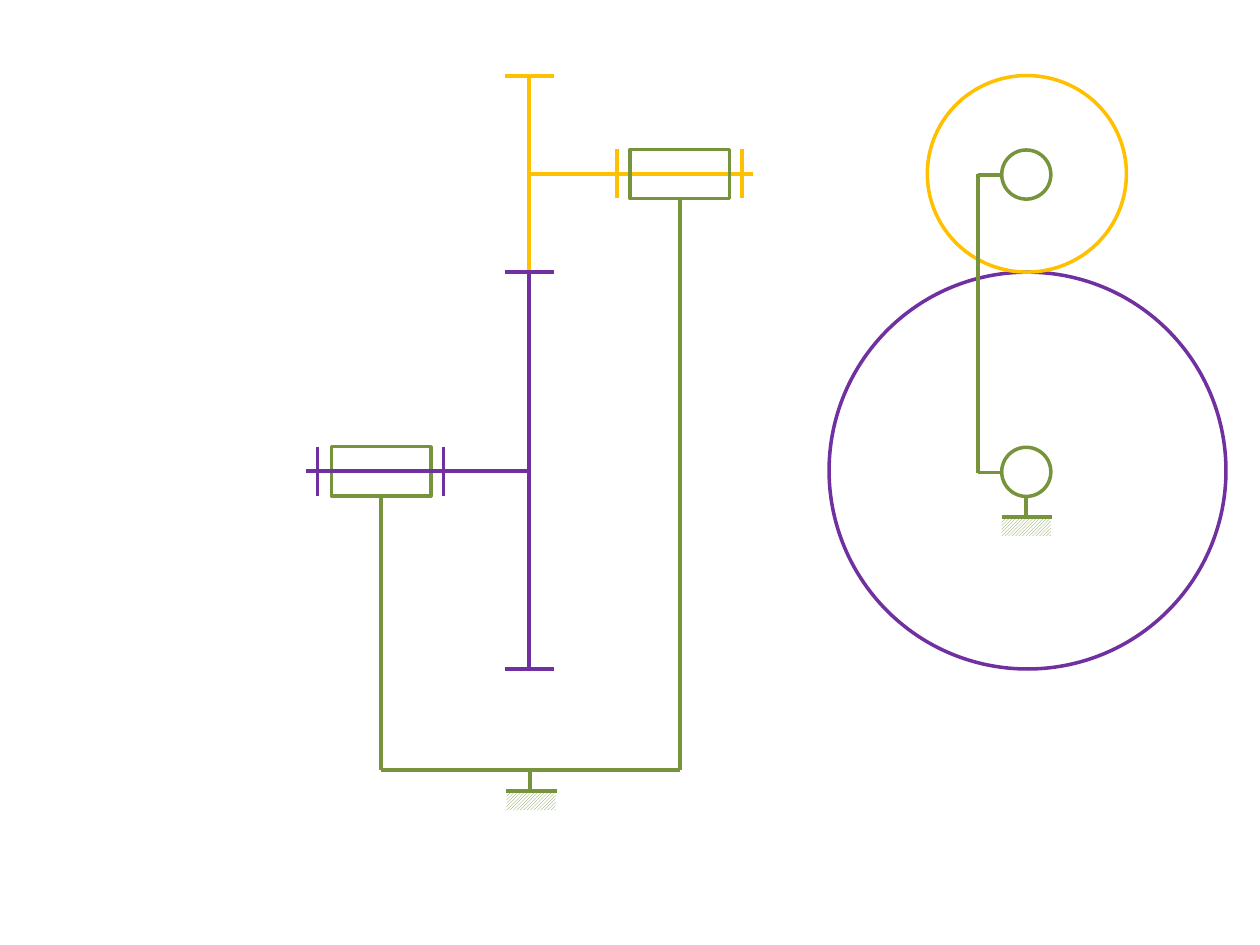
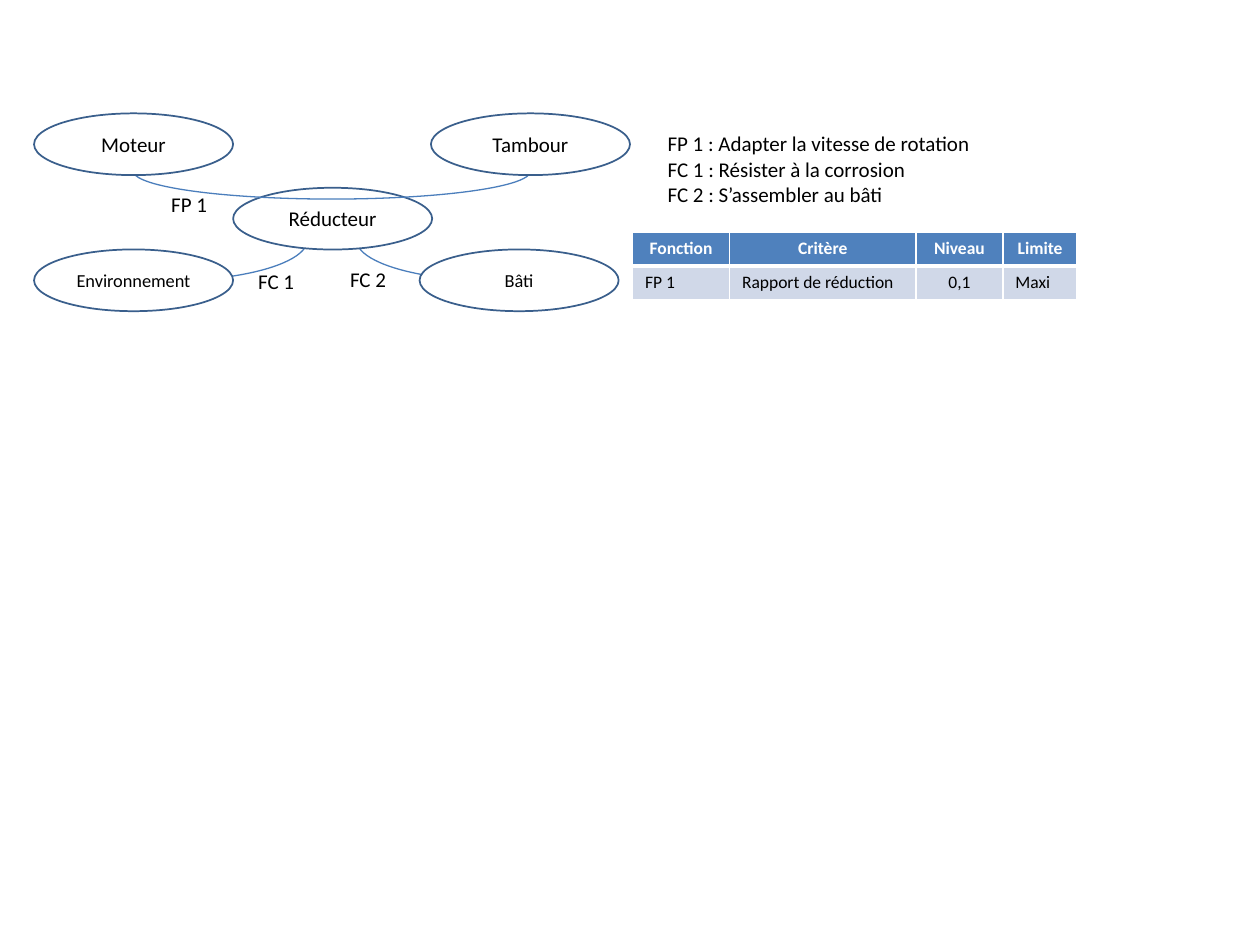
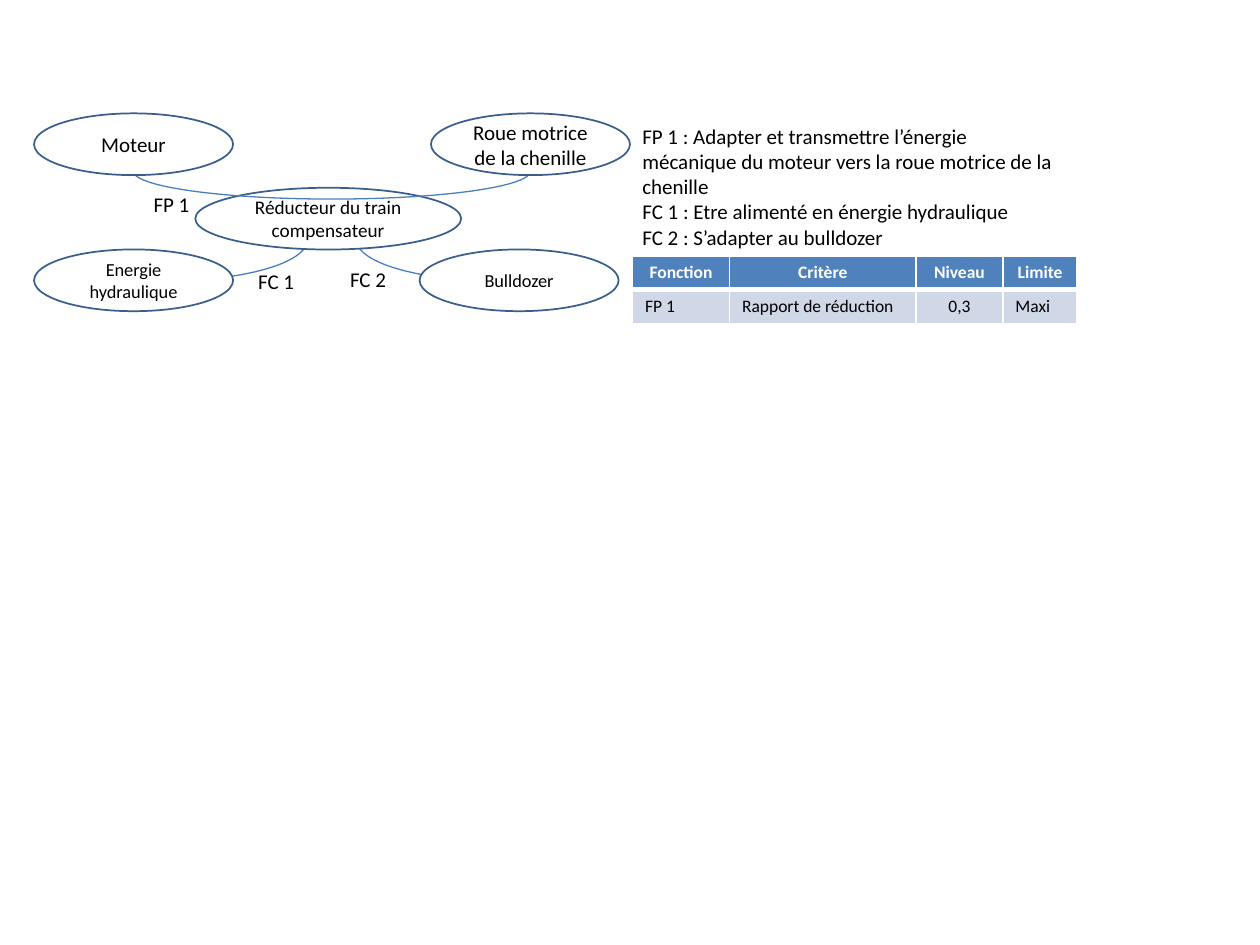
from lxml import etree
from pptx import Presentation
from pptx.dml.color import RGBColor
from pptx.enum.dml import MSO_PATTERN
from pptx.enum.shapes import MSO_CONNECTOR, MSO_SHAPE
from pptx.enum.text import MSO_ANCHOR, MSO_AUTO_SIZE, PP_ALIGN
from pptx.oxml.ns import qn
from pptx.util import Inches, Pt

RECTANGLE, ELLIPSE, ARC = MSO_SHAPE.RECTANGLE, MSO_SHAPE.OVAL, MSO_SHAPE.ARC
STRAIGHT = MSO_CONNECTOR.STRAIGHT
HATCH = MSO_PATTERN.LIGHT_UPWARD_DIAGONAL
MIDDLE, TOP = MSO_ANCHOR.MIDDLE, MSO_ANCHOR.TOP
CENTER, LEFT = PP_ALIGN.CENTER, PP_ALIGN.LEFT
GROW = MSO_AUTO_SIZE.SHAPE_TO_FIT_TEXT

WHITE = RGBColor(0xFF, 0xFF, 0xFF)
BLACK = RGBColor(0x00, 0x00, 0x00)
GREEN = RGBColor(0x77, 0x93, 0x3C)
PURPLE = RGBColor(0x70, 0x30, 0xA0)
YELLOW = RGBColor(0xFF, 0xC0, 0x00)
ARC_BLUE = RGBColor(0x4B, 0x7E, 0xBC)
OUTLINE_BLUE = RGBColor(0x3A, 0x5F, 0x8C)
HEADER_BLUE = RGBColor(0x4F, 0x81, 0xBD)
ROW_BLUE = RGBColor(0xD0, 0xD8, 0xE8)
FONT = "Calibri"

# Gear geometry, measured down from the top of the small wheel
SMALL_AXIS, CONTACT, LARGE_AXIS, GEAR_BOTTOM = 0.78, 1.56, 3.14, 4.71
FRAME_BASE = 5.51
BEARING_WIDTH, BEARING_HEIGHT = 0.79, 0.39
RIM = 0.39


def add_outline(shapes, kind, box, color, width):
    """Unfilled preset shape; box is left, top, width, height in inches."""
    shape = shapes.add_shape(kind, *(Inches(length) for length in box))
    shape.shadow.inherit = False
    shape.fill.background()
    shape.line.color.rgb = color
    shape.line.width = Pt(width)
    return shape


def add_line(shapes, start, end, color):
    line = shapes.add_connector(STRAIGHT, *(Inches(length) for length in start + end))
    line.line.color.rgb = color
    line.line.width = Pt(2.25)
    etree.SubElement(line.element.spPr, qn("a:effectLst"))


def write(text_frame, lines, size, color=BLACK, bold=False, alignment=LEFT):
    text_frame.text = "\n".join(lines)
    for paragraph in text_frame.paragraphs:
        paragraph.alignment = alignment
        for run in paragraph.runs:
            run.font.name = FONT
            run.font.size = Pt(size)
            run.font.bold = bold
            run.font.color.rgb = color


# ---- Gear train ----
def add_ground(slide, center, top):
    """Stem, ground line and hatching under a fixed part."""
    shapes = slide.shapes.add_group_shape().shapes
    left, ground = center - 0.19, top + 0.17
    hatching = shapes.add_shape(RECTANGLE, Inches(left), Inches(ground - 0.01),
                                Inches(0.39), Inches(0.16))
    hatching.shadow.inherit = False
    hatching.line.fill.background()
    hatching.fill.patterned()
    hatching.fill.pattern = HATCH
    hatching.fill.fore_color.rgb = GREEN
    hatching.fill.back_color.rgb = WHITE
    add_line(shapes, (left, ground), (left + 0.4, ground), GREEN)
    add_line(shapes, (center, top), (center, ground), GREEN)


def add_bearing(slide, left, axis, base):
    """Bearing housing with its post down to the frame."""
    shapes = slide.shapes.add_group_shape().shapes
    top = axis - BEARING_HEIGHT / 2
    center = left + BEARING_WIDTH / 2
    add_outline(shapes, RECTANGLE, (left, top, BEARING_WIDTH, BEARING_HEIGHT), GREEN, 2)
    add_line(shapes, (center, base), (center, top + BEARING_HEIGHT), GREEN)


def add_shaft(slide, start, end, axis, collars, color):
    shapes = slide.shapes.add_group_shape().shapes
    add_line(shapes, (start, axis), (end, axis), color)
    for collar in collars:
        add_line(shapes, (collar, axis - RIM / 2), (collar, axis + RIM / 2), color)


def add_wheel_section(slide, center, top, bottom, rims, color):
    add_line(slide.shapes, (center, top), (center, bottom), color)
    for rim in rims:
        add_line(slide.shapes, (center - RIM / 2, rim), (center + RIM / 2, rim), color)


def side_view(slide, left, top):
    wheel = left + 1.77
    small_axis, contact = top + SMALL_AXIS, top + CONTACT
    large_axis, bottom = top + LARGE_AXIS, top + GEAR_BOTTOM
    base = top + FRAME_BASE
    large_bearing, small_bearing = left + 0.2, left + 2.57
    # Large wheel shaft in front of its bearing, small one behind
    add_bearing(slide, large_bearing, large_axis, base)
    add_shaft(slide, wheel, left, large_axis, (left + 1.09, left + 0.09), PURPLE)
    add_wheel_section(slide, wheel, top, contact, (top,), YELLOW)
    add_shaft(slide, left + 3.55, wheel, small_axis, (left + 2.47, left + 3.46), YELLOW)
    add_bearing(slide, small_bearing, small_axis, base)
    add_wheel_section(slide, wheel, contact, bottom, (contact, bottom), PURPLE)
    # Frame
    half = BEARING_WIDTH / 2
    add_line(slide.shapes, (large_bearing + half, base), (small_bearing + half, base), GREEN)
    add_ground(slide, wheel + 0.01, base)


def front_view(slide, left, top):
    center = left + 1.57
    small_axis, large_axis = top + SMALL_AXIS, top + LARGE_AXIS
    shapes = slide.shapes
    # Wheels
    add_outline(shapes, ELLIPSE, (left, top + CONTACT, 3.15, 3.15), PURPLE, 2)
    add_outline(shapes, ELLIPSE, (left + 0.78, top, 1.58, CONTACT), YELLOW, 2)
    add_ground(slide, center - 0.01, large_axis + BEARING_HEIGHT / 2)
    # Bearings and the link between them
    link = left + 1.18
    for axis in (small_axis, large_axis):
        add_outline(shapes, ELLIPSE, (center - 0.2, axis - 0.19, 0.39, 0.39), GREEN, 2)
        add_line(shapes, (link, axis + 0.01), (center - 0.2, axis + 0.01), GREEN)
    add_line(shapes, (link, large_axis + 0.01), (link, small_axis), GREEN)


# ---- Functional analysis ----
def add_arc(slide, box, start_angle, flips):
    """Arc from start_angle, in degrees, clockwise to the right-hand end."""
    arc = add_outline(slide.shapes, ARC, box, ARC_BLUE, 0.75)
    arc.adjustments[0] = start_angle * 0.6  # 60000ths of a degree over 100000
    arc.adjustments[1] = 0
    transform = arc.element.spPr.find(qn("a:xfrm"))
    for flip in flips:
        transform.set(flip, "1")


def add_bubble(slide, left, top, text, size=12, width=1.58):
    bubble = add_outline(slide.shapes, ELLIPSE, (left, top, width, 0.49), OUTLINE_BLUE, 1)
    bubble.fill.solid()
    bubble.fill.fore_color.rgb = WHITE
    bubble.text_frame.word_wrap = True
    bubble.text_frame.vertical_anchor = MIDDLE
    write(bubble.text_frame, [text], size, alignment=CENTER)


def add_text(slide, box, lines):
    text_box = slide.shapes.add_textbox(*(Inches(length) for length in box))
    text_box.text_frame.word_wrap = True
    text_box.text_frame.auto_size = GROW
    write(text_box.text_frame, lines, 12)


def interaction_diagram(slide, left, top, names, center_box, center_size, label_left):
    """names: product, top left, top right, bottom left, bottom right."""
    product, top_left, top_right, bottom_left, bottom_right = names
    center_left, center_width = center_box
    # Quarter arcs to the lower bubbles, behind them
    add_arc(slide, (left + 2.63, top + 0.68, 2.24, 0.65), 270.56, ("flipH", "flipV"))
    add_arc(slide, (left, top + 0.68, 2.24, 0.65), 270.56, ("flipV",))
    add_bubble(slide, left + center_left, top + 0.59, product, center_size, center_width)
    add_bubble(slide, left + 3.13, top + 1.08, bottom_right, 10.5)
    add_bubble(slide, left + 0.07, top + 1.08, bottom_left, 10.5)
    # Half arc between the upper bubbles, across the product
    add_arc(slide, (left + 0.86, top + 0.24, 3.15, 0.44), 180.39, ("flipV",))
    add_bubble(slide, left + 0.07, top, top_left)
    add_bubble(slide, left + 3.22, top, top_right)
    # Function labels
    labels = (("FP 1", label_left, 0.57), ("FC 1", 1.75, 1.18), ("FC 2", 2.48, 1.17))
    for text, x, y in labels:
        add_text(slide, (left + x, top + y, 0.98, 0.3), [text])


def set_borders(cell, bottom):
    properties = cell._tc.get_or_add_tcPr()
    widths = {"a:lnL": 1, "a:lnR": 1, "a:lnT": 1, "a:lnB": bottom}
    for position, (tag, width) in enumerate(widths.items()):
        border = etree.Element(qn(tag), w=str(Pt(width)))
        fill = etree.SubElement(border, qn("a:solidFill"))
        etree.SubElement(fill, qn("a:srgbClr"), val=str(WHITE))
        properties.insert(position, border)


def criteria_table(slide, left, top, level):
    rows = (("Fonction", "Critère", "Niveau", "Limite"),
            ("FP 1", "Rapport de réduction", level, "Maxi"))
    widths = (0.77, 1.48, 0.69, 0.59)
    table = slide.shapes.add_table(2, 4, Inches(left), Inches(top),
                                   Inches(sum(widths)), Inches(0.54)).table
    for column, width in zip(table.columns, widths):
        column.width = Inches(width)
    for row_index, row in enumerate(rows):
        header = row_index == 0
        for column_index, text in enumerate(row):
            cell = table.cell(row_index, column_index)
            cell.fill.solid()
            cell.fill.fore_color.rgb = HEADER_BLUE if header else ROW_BLUE
            cell.vertical_anchor = MIDDLE if header else TOP
            centered = header or column_index == 2
            write(cell.text_frame, [text], 10, WHITE if header else BLACK, header,
                  CENTER if centered else LEFT)
            set_borders(cell, 3 if header else 1)


presentation = Presentation()
presentation.slide_width = Inches(10)
presentation.slide_height = Inches(7.5)
blank = presentation.slide_layouts[6]

# Slide 1: gear train
slide = presentation.slides.add_slide(blank)
side_view(slide, 2.43, 0.6)
front_view(slide, 6.58, 0.6)

# Slide 2: reducer
slide = presentation.slides.add_slide(blank)
interaction_diagram(slide, 0.2, 0.9,
                    ("Réducteur", "Moteur", "Tambour", "Environnement", "Bâti"),
                    (1.65, 1.58), 12, 1.06)
add_text(slide, (5.2, 0.99, 2.95, 0.71),
         ["FP 1 : Adapter la vitesse de rotation",
          "FC 1 : Résister à la corrosion",
          "FC 2 : S’assembler au bâti"])
criteria_table(slide, 5.02, 1.84, "0,1")

# Slide 3: bulldozer reducer
slide = presentation.slides.add_slide(blank)
interaction_diagram(slide, 0.2, 0.9,
                    ("Réducteur du train compensateur", "Moteur",
                     "Roue motrice de la chenille", "Energie hydraulique", "Bulldozer"),
                    (1.35, 2.11), 11, 0.92)
add_text(slide, (5, 0.93, 3.54, 1.11),
         ["FP 1 : Adapter et transmettre l’énergie mécanique du moteur "
          "vers la roue motrice de la chenille",
          "FC 1 : Etre alimenté en énergie hydraulique",
          "FC 2 : S’adapter au bulldozer"])
criteria_table(slide, 5.02, 2.03, "0,3")

presentation.save("out.pptx")
